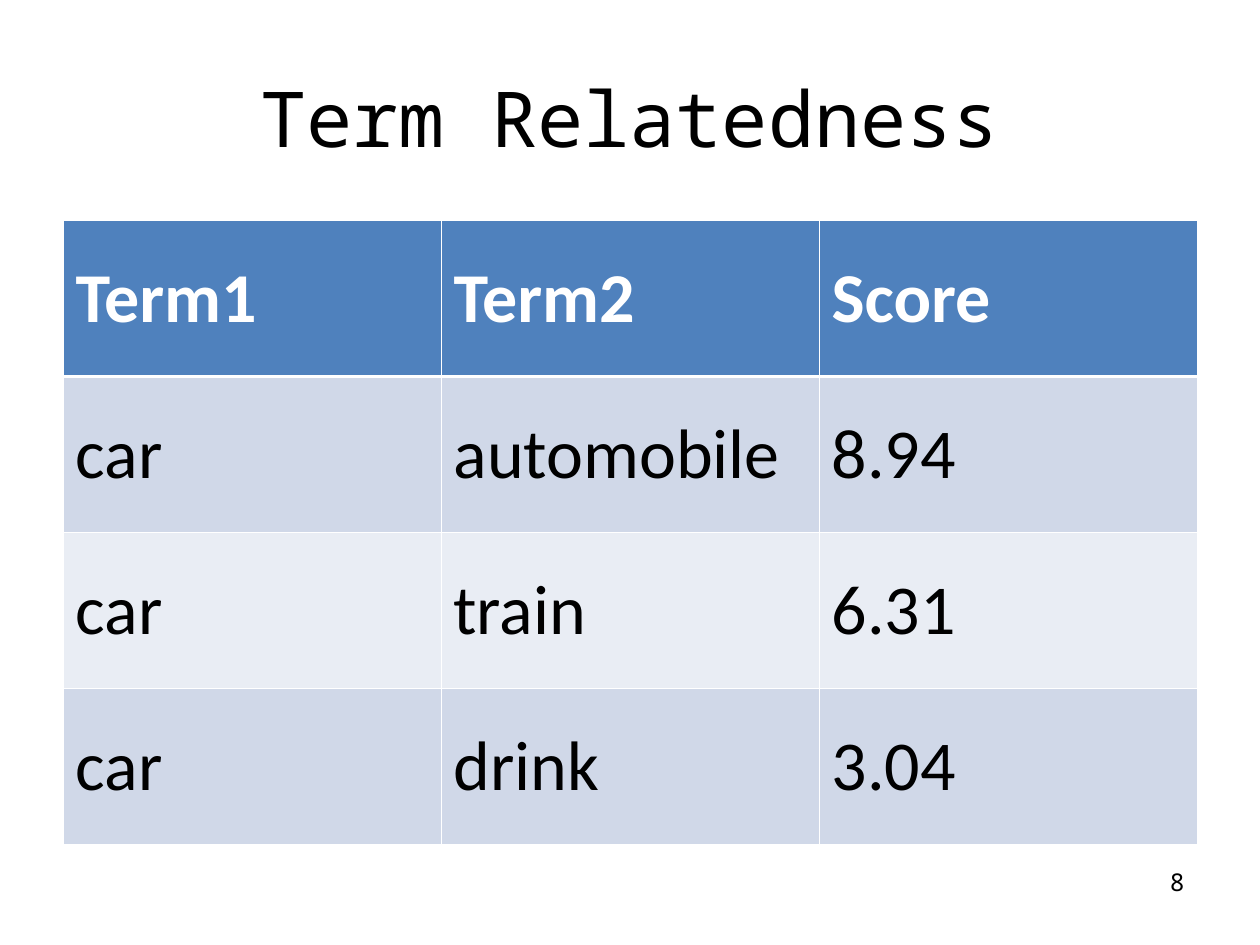
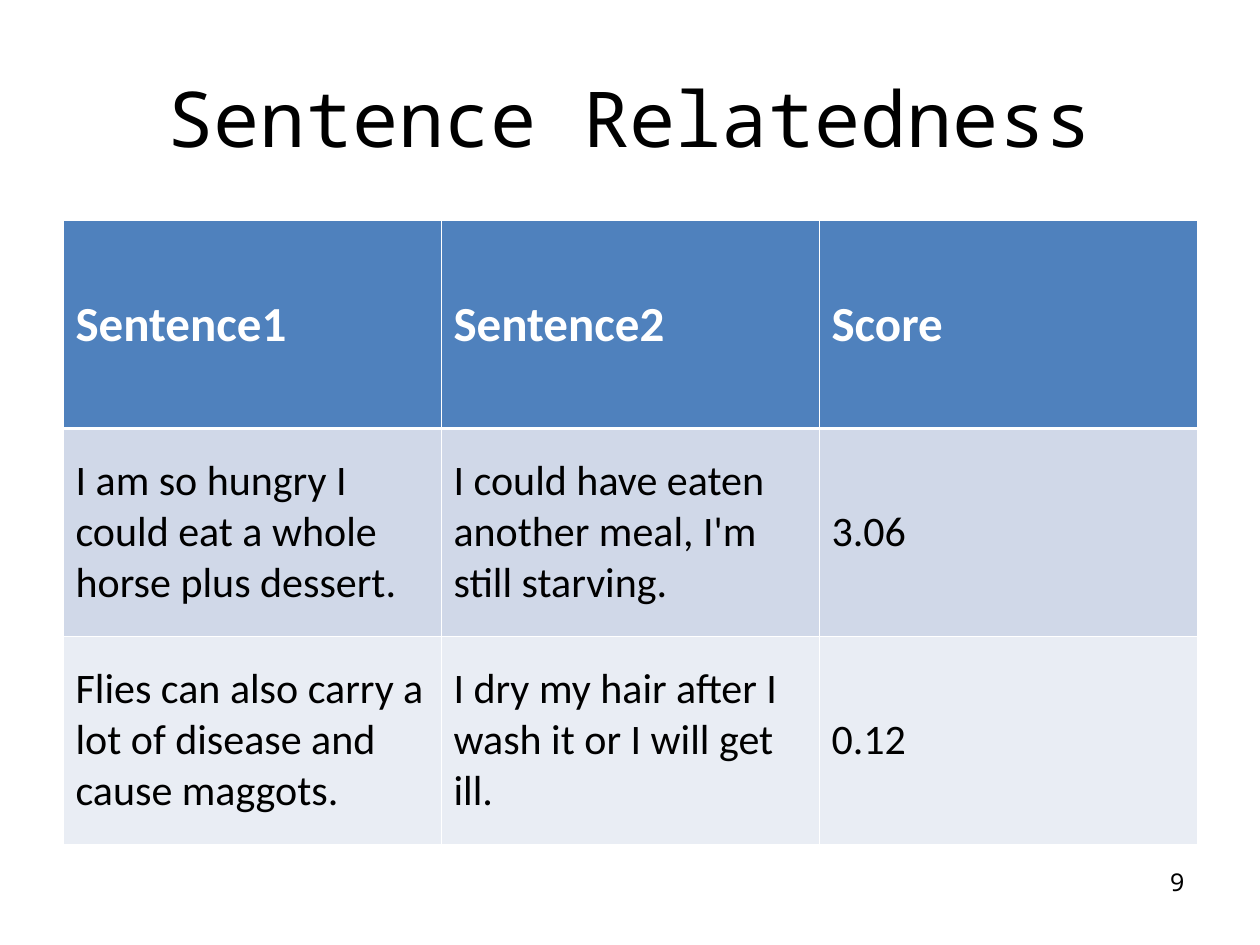
from lxml.etree import SubElement
from pptx import Presentation
from pptx.dml.color import RGBColor
from pptx.enum.text import MSO_ANCHOR as Anchor, PP_ALIGN as Align
from pptx.oxml.ns import qn
from pptx.util import Emu, Pt

EMU_PER_PX = 9144  # 100 px to the inch
TITLE_ONLY = 5
TABLE_BOX = (50, 175, 900, 495)


def px(length):
    return Emu(round(length * EMU_PER_PX))


def color(hex_string):
    return RGBColor.from_string(hex_string)


def set_border(cell, side, width):
    """Draw one side (L, R, T or B) of a cell; call before filling the cell."""
    line = SubElement(cell._tc.get_or_add_tcPr(), qn(f"a:ln{side}"), w=str(Pt(width)))
    fill = SubElement(line, qn("a:solidFill"))
    SubElement(fill, qn("a:srgbClr"), val=Deck.WHITE)


class Deck:
    TITLE_FONT = "Noto Sans Mono"
    TABLE_FONT = "Calibri"
    BLACK, WHITE = "000000", "FFFFFF"
    HEADER_FILL = "4F81BD"
    BAND_FILLS = ("D0D8E8", "E9EDF4")
    THIN, THICK = 0.45, 1.47

    def __init__(self):
        self.presentation = Presentation()
        self.presentation.slide_width = px(1000)
        self.presentation.slide_height = px(750)
        self.slide = None

    def add_slide(self, title, number):
        layout = self.presentation.slide_layouts[TITLE_ONLY]
        self.slide = self.presentation.slides.add_slide(layout)
        self.title(title)
        self.page_number(number)

    def format_text(self, text_frame, size, font, hex_color, align, bold=False):
        text_frame.word_wrap = True
        for paragraph in text_frame.paragraphs:
            paragraph.alignment = align
            for run in paragraph.runs:
                run.font.size = Pt(size)
                run.font.name = font
                run.font.bold = bold
                run.font.color.rgb = color(hex_color)

    def title(self, text):
        shape = self.slide.shapes.title
        shape.left, shape.top, shape.width, shape.height = map(px, (50, 30, 900, 125))
        shape.text_frame.text = text
        shape.text_frame.vertical_anchor = Anchor.MIDDLE
        self.format_text(shape.text_frame, 44, self.TITLE_FONT, self.BLACK, Align.CENTER)

    def page_number(self, number):
        shape = self.slide.shapes.add_textbox(*map(px, (717, 683, 233, 52)))
        shape.text_frame.text = str(number)
        self.format_text(shape.text_frame, 14, self.TITLE_FONT, self.BLACK, Align.RIGHT)

    def table(self, rows, header_size, body_size):
        left, top, width, height = TABLE_BOX
        table = self.slide.shapes.add_table(
            len(rows), len(rows[0]), *map(px, TABLE_BOX)).table
        for column in table.columns:
            column.width = px(width / len(rows[0]))
        for row_index, texts in enumerate(rows):
            table.rows[row_index].height = px(height / len(rows))
            size = body_size if row_index else header_size
            for column_index, text in enumerate(texts):
                self.cell(table.cell(row_index, column_index), text, size, row_index)

    def cell(self, cell, text, size, row_index):
        is_header = row_index == 0
        set_border(cell, "L", self.THIN)
        set_border(cell, "R", self.THIN)
        set_border(cell, "T", self.THICK if row_index == 1 else self.THIN)
        set_border(cell, "B", self.THICK if is_header else self.THIN)
        cell.fill.solid()
        cell.fill.fore_color.rgb = color(
            self.HEADER_FILL if is_header else self.BAND_FILLS[(row_index - 1) % 2])
        cell.vertical_anchor = Anchor.MIDDLE
        cell.text_frame.text = text
        self.format_text(cell.text_frame, size, self.TABLE_FONT,
                         self.WHITE if is_header else self.BLACK, Align.LEFT, is_header)
        cell.text_frame.paragraphs[0].space_before = Pt(size / 4)

    def save(self):
        self.presentation.save("out.pptx")


def main():
    deck = Deck()

    deck.add_slide("Term Relatedness", 8)
    deck.table([
        ("Term1", "Term2", "Score"),
        ("car", "automobile", "8.94"),
        ("car", "train", "6.31"),
        ("car", "drink", "3.04"),
    ], header_size=40, body_size=40)

    deck.add_slide("Sentence Relatedness", 9)
    deck.table([
        ("Sentence1", "Sentence2", "Score"),
        ("I am so hungry I could eat a whole horse plus dessert.",
         "I could have eaten another meal, I'm still starving.", "3.06"),
        ("Flies can also carry a lot of disease and cause maggots.",
         "I dry my hair after I wash it or I will get ill.", "0.12"),
    ], header_size=28, body_size=24)

    deck.save()


if __name__ == "__main__":
    main()
